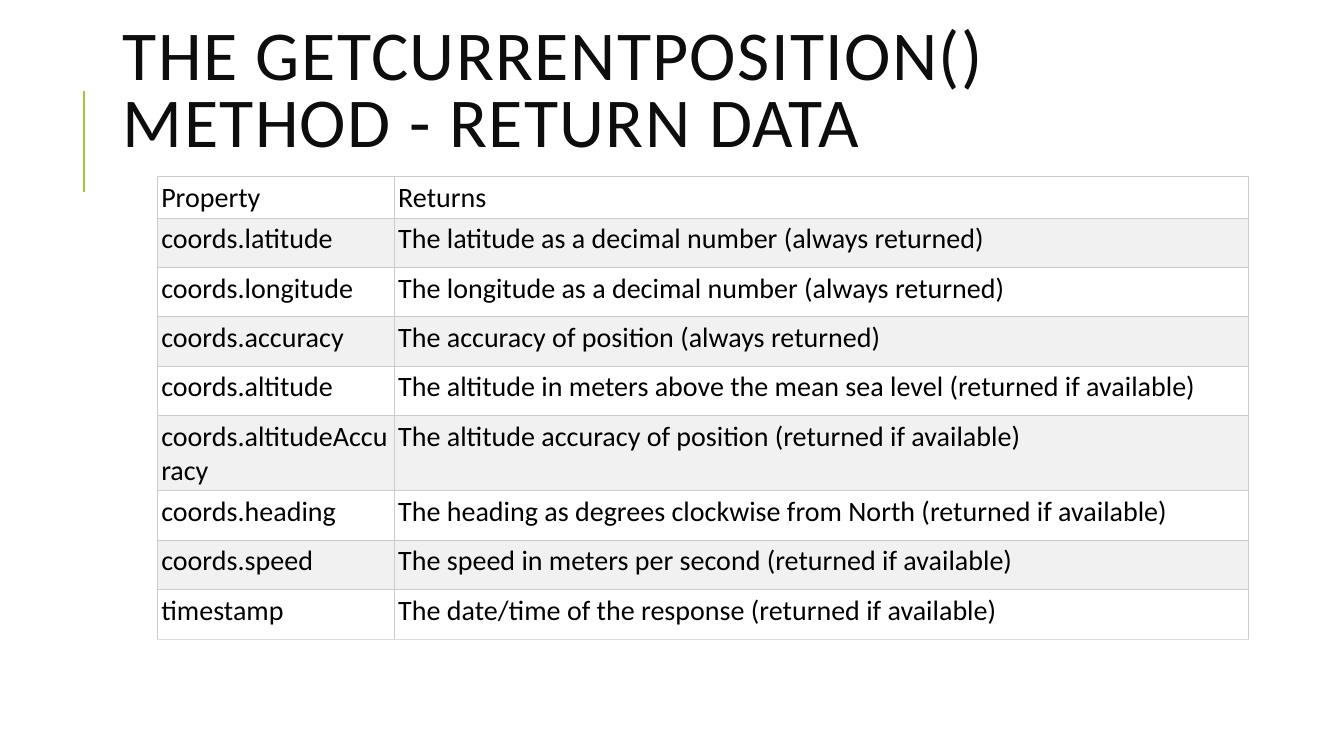
from dataclasses import dataclass

from lxml import etree
from pptx import Presentation
from pptx.dml.color import RGBColor
from pptx.enum.shapes import MSO_CONNECTOR
from pptx.enum.text import MSO_ANCHOR
from pptx.oxml.ns import qn
from pptx.util import Inches, Pt

STRAIGHT = MSO_CONNECTOR.STRAIGHT
MIDDLE = MSO_ANCHOR.MIDDLE

FONT = "Calibri"
COLORS = {
    "accent": "99CB38",
    "title": "0D0D0D",
    "text": "000000",
    "plain": "FFFFFF",
    "band": "F1F1F1",
    "border": "CCCCCC",
    "last_border": "DDDDDD",
}
COLUMN_WIDTHS = (2.35, 8.47)
CELL_MARGIN = 0.04
BORDER_POINTS = 0.6


@dataclass
class PropertyRow:
    name: str
    returns: str
    height: float = 0.49


ROWS = [
    PropertyRow("Property", "Returns", 0.29),
    PropertyRow("coords.latitude", "The latitude as a decimal number (always returned)"),
    PropertyRow("coords.longitude", "The longitude as a decimal number (always returned)"),
    PropertyRow("coords.accuracy", "The accuracy of position (always returned)"),
    PropertyRow("coords.altitude", "The altitude in meters above the mean sea level (returned if available)"),
    PropertyRow("coords.altitudeAccuracy", "The altitude accuracy of position (returned if available)", 0.69),
    PropertyRow("coords.heading", "The heading as degrees clockwise from North (returned if available)"),
    PropertyRow("coords.speed", "The speed in meters per second (returned if available)"),
    PropertyRow("timestamp", "The date/time of the response (returned if available)"),
]


def color(name: str) -> RGBColor:
    return RGBColor.from_string(COLORS[name])


def style_font(para, size: float, color_name: str) -> None:
    para.font.name = FONT
    para.font.size = Pt(size)
    para.font.color.rgb = color(color_name)


def add_accent_line(page) -> None:
    line = page.shapes.add_connector(
        STRAIGHT, Inches(0.83), Inches(1.9), Inches(0.83), Inches(0.9)
    )
    line.line.color.rgb = color("accent")
    line.line.width = Pt(1.5)
    etree.SubElement(line._element.spPr, qn("a:effectLst"))


def add_title(page, text: str) -> None:
    box = page.shapes.add_textbox(Inches(1.12), Inches(0.11), Inches(10.63), Inches(1.64))
    frame = box.text_frame
    frame.word_wrap = True
    frame.vertical_anchor = MIDDLE
    para = frame.paragraphs[0]
    para.line_spacing = 0.8
    style_font(para, 50, "title")
    span = para.add_run()
    span.text = text
    span.font._element.set("spc", "100")


def set_borders(cell, bottom: str) -> None:
    properties = cell._tc.get_or_add_tcPr()
    sides = {"lnL": "border", "lnR": "border", "lnT": "border", "lnB": bottom}
    for position, (side, color_name) in enumerate(sides.items()):
        edge = etree.Element(qn(f"a:{side}"), w=str(Pt(BORDER_POINTS)))
        fill = etree.SubElement(edge, qn("a:solidFill"))
        etree.SubElement(fill, qn("a:srgbClr"), val=COLORS[color_name])
        properties.insert(position, edge)


def fill_cell(cell, text: str, fill: str, bottom: str) -> None:
    cell.margin_left = cell.margin_right = Inches(CELL_MARGIN)
    cell.margin_top = cell.margin_bottom = Inches(CELL_MARGIN)
    cell.fill.solid()
    cell.fill.fore_color.rgb = color(fill)
    set_borders(cell, bottom)
    cell.text = text
    style_font(cell.text_frame.paragraphs[0], 20, "text")


def add_property_table(page, rows: list[PropertyRow]) -> None:
    frame = page.shapes.add_table(
        len(rows), len(COLUMN_WIDTHS), Inches(1.56), Inches(1.75),
        Inches(sum(COLUMN_WIDTHS)), Inches(sum(row.height for row in rows)),
    )
    table = frame.table
    table.first_row = table.horz_banding = False
    for column, width in zip(table.columns, COLUMN_WIDTHS):
        column.width = Inches(width)
    for index, row in enumerate(rows):
        table.rows[index].height = Inches(row.height)
        fill = "band" if index % 2 else "plain"
        bottom = "last_border" if row is rows[-1] else "border"
        for column_index, text in enumerate((row.name, row.returns)):
            fill_cell(table.cell(index, column_index), text, fill, bottom)


def main() -> None:
    deck = Presentation()
    deck.slide_width, deck.slide_height = Inches(13.33), Inches(7.5)
    page = deck.slides.add_slide(deck.slide_layouts[6])

    # Heading with its accent line
    add_accent_line(page)
    add_title(page, "THE GETCURRENTPOSITION() METHOD - RETURN DATA")

    # Returned properties
    add_property_table(page, ROWS)

    deck.save("out.pptx")


if __name__ == "__main__":
    main()
